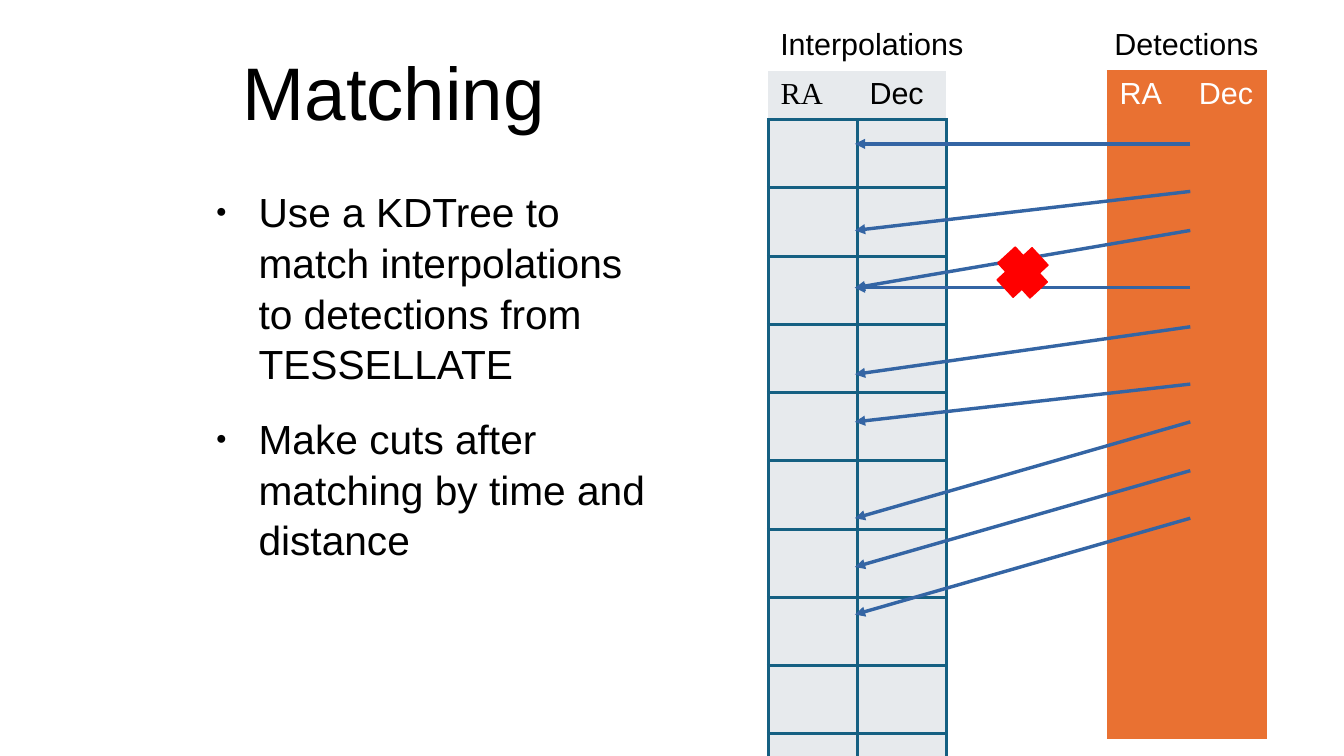
from lxml import etree
from pptx import Presentation
from pptx.dml.color import RGBColor
from pptx.enum.shapes import MSO_CONNECTOR as CONNECTOR, MSO_SHAPE as SHAPE
from pptx.enum.text import MSO_ANCHOR as ANCHOR, PP_ALIGN as ALIGN
from pptx.oxml import parse_xml
from pptx.oxml.ns import nsdecls, qn
from pptx.util import Inches, Pt

COLORS = {"black": "000000", "white": "FFFFFF", "teal": "156082", "grey": "E7EAED",
          "orange": "E97132", "blue": "3465A4", "red": "FF0000"}


def add_run(para, text, size, color="black", font="Arial"):
    run = para.add_run()
    run.text = text
    run.font.size = Pt(size)
    run.font.name = font
    run.font.bold = False
    run.font.color.rgb = RGBColor.from_string(COLORS[color])


def set_border(cell, side, color, points):
    fill = (f'<a:solidFill><a:srgbClr val="{COLORS[color]}"/></a:solidFill>'
            if color else "<a:noFill/>")
    cell._tc.get_or_add_tcPr().append(parse_xml(
        f'<a:ln{side} {nsdecls("a")} w="{Pt(points)}">{fill}</a:ln{side}>'))


deck = Presentation()
deck.slide_width = Inches(11.02)
deck.slide_height = Inches(6.2)
page = deck.slides.add_slide(deck.slide_layouts[5])

# Title
title = page.shapes.title
title.left, title.top = Inches(-1.73), Inches(0.22)
title.width, title.height = Inches(9.92), Inches(1.04)
frame = title.text_frame
frame.margin_left = frame.margin_right = frame.margin_top = frame.margin_bottom = 0
frame.vertical_anchor = ANCHOR.MIDDLE
frame.paragraphs[0].alignment = ALIGN.CENTER
add_run(frame.paragraphs[0], "Matching", 44)

# Bullets
box = page.shapes.add_textbox(Inches(1.65), Inches(1.52), Inches(3.78), Inches(3.6))
frame = box.text_frame
frame.word_wrap = True
frame.margin_left = frame.margin_right = frame.margin_top = frame.margin_bottom = 0
points = ["Use a KDTree to match interpolations to detections from TESSELLATE",
          "Make cuts after matching by time and distance"]
for index, text in enumerate(points):
    para = frame.add_paragraph() if index else frame.paragraphs[0]
    para.line_spacing = 1.04
    para.space_before = Pt(14.1 if index else 0)
    props = para._p.get_or_add_pPr()
    props.set("marL", str(Inches(0.47)))
    props.set("indent", str(Inches(-0.35)))
    etree.SubElement(props, qn("a:buSzPct")).set("val", "45000")
    etree.SubElement(props, qn("a:buFont")).set("typeface", "Arial")
    etree.SubElement(props, qn("a:buChar")).set("char", "●")
    add_run(para, text, 24)

# Tables: left, column width, header height, body rows, fill, border, width, header border, text, fonts
tables = [
    (6.3, 0.73, 0.38, 13, "grey", "teal", 1.98, None, "black", ("Times New Roman", "Arial")),
    (9.08, 0.65, 0.44, 9, "orange", "orange", 0.5, "orange", "white", ("Arial", "Arial")),
]
for left, width, header, body, fill, border, weight, header_border, color, fonts in tables:
    table = page.shapes.add_table(body + 1, 2, Inches(left), Inches(0.58), Inches(2 * width),
                                  Inches(header + 0.56 * body)).table
    for column in table.columns:
        column.width = Inches(width)
    for index, row in enumerate(table.rows):
        row.height = Inches(0.56 if index else header)
        for cell in row.cells:
            for side in "LRTB":
                edge = border if index or side == "B" else header_border
                set_border(cell, side, edge, weight)
            cell.fill.solid()
            cell.fill.fore_color.rgb = RGBColor.from_string(COLORS[fill])
    for cell, text, font in zip(table.rows[0].cells, ("RA", "Dec"), fonts):
        add_run(cell.text_frame.paragraphs[0], text, 18, color, font)

# Table captions
for left, text in [(6.3, "Interpolations"), (9.04, "Detections")]:
    box = page.shapes.add_textbox(Inches(left), Inches(0.16), Inches(1.8), Inches(0.4))
    box.text_frame.word_wrap = True
    add_run(box.text_frame.paragraphs[0], text, 18)

# Match arrows from detections to interpolations
matches = [(1.18, 1.18), (1.57, 1.89), (1.89, 2.36), (2.36, 2.36), (2.68, 3.07),
           (3.15, 3.46), (3.46, 4.25), (3.86, 4.65), (4.25, 5.04)]
for start, end in matches:
    arrow = page.shapes.add_connector(CONNECTOR.STRAIGHT, Inches(9.76), Inches(start),
                                      Inches(7.01), Inches(end))
    arrow.line.color.rgb = RGBColor.from_string(COLORS["blue"])
    arrow.line.width = Pt(0)
    etree.SubElement(arrow.line._get_or_add_ln(), qn("a:tailEnd")).set("type", "triangle")
    etree.SubElement(arrow._element.spPr, qn("a:effectLst"))

# Rejected match
cross = page.shapes.add_shape(SHAPE.CROSS, Inches(8.19), Inches(2.04), Inches(0.39), Inches(0.39))
cross.rotation = 47.4
cross.shadow.inherit = False
cross.fill.solid()
cross.fill.fore_color.rgb = RGBColor.from_string(COLORS["red"])
cross.line.color.rgb = RGBColor.from_string(COLORS["red"])
cross.line.width = Pt(0)

deck.save("out.pptx")
